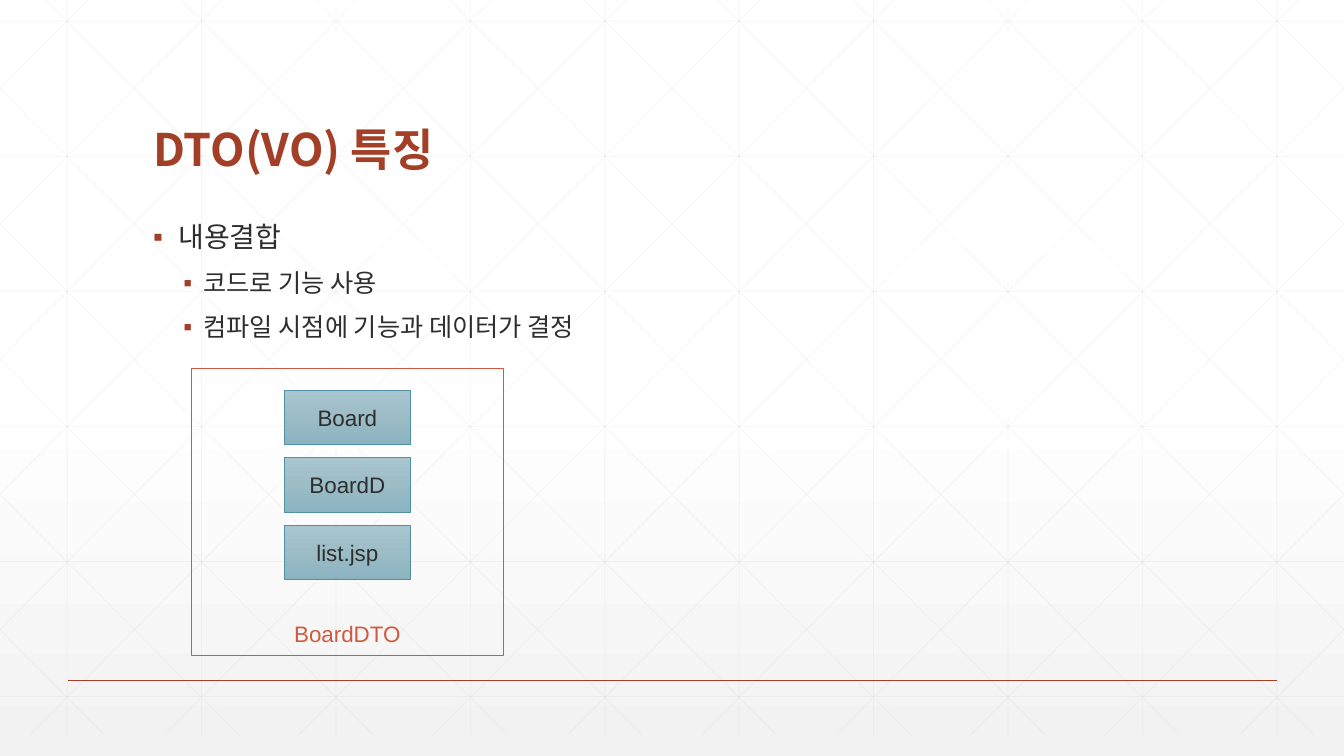
from dataclasses import dataclass

from lxml.etree import SubElement
from pptx import Presentation
from pptx.dml.color import RGBColor as Rgb
from pptx.enum.shapes import MSO_CONNECTOR as Connector, MSO_SHAPE as Shape
from pptx.enum.text import MSO_ANCHOR as Anchor, MSO_AUTO_SIZE as AutoSize, PP_ALIGN as Align
from pptx.oxml.ns import qn
from pptx.util import Inches, Pt


@dataclass(frozen=True)
class Theme:
    """Colours, fonts and type sizes of the slide."""
    accent: str = "A43F27"
    frame: str = "D15A3E"
    ink: str = "2D2E2D"
    lattice: str = "D9D9D9"
    tile_edge: str = "4F91A1"
    tile_stops: tuple = ((0, "A9C6CF"), (50, "9CBCC6"), (100, "8AB4C0"))
    page_stops: tuple = ((0, "FFFFFF"), (53, "FFFFFF"), (100, "F2F2F2"))
    korean: str = "Noto Sans CJK KR"
    latin: str = "Arial"
    title: int = 32
    topic: int = 20
    detail: int = 18
    label: int = 16


THEME = Theme()
WIDTH, HEIGHT = 13.33, 7.5


def write(paragraph, text, *, size, color, font, bold=False, align=Align.LEFT, spacing=None, before=0):
    """Put formatted text into a paragraph."""
    paragraph.alignment = align
    paragraph.line_spacing = spacing
    paragraph.space_before = Pt(before)
    run = paragraph.add_run()
    run.text = text
    run.font.name, run.font.size, run.font.bold = font, Pt(size), bold
    run.font.color.rgb = Rgb.from_string(color)
    SubElement(run.font._element, qn("a:ea"), typeface=font)


def add_bullet(paragraph, indent, hanging):
    """Give a paragraph a small square bullet with a hanging indent."""
    props = paragraph._p.get_or_add_pPr()
    props.set("marL", str(Inches(indent)))
    props.set("indent", str(-Inches(hanging)))
    color = SubElement(props, qn("a:buClr"))
    SubElement(color, qn("a:srgbClr"), val=THEME.accent)
    SubElement(props, qn("a:buFont"), typeface=THEME.latin)
    SubElement(props, qn("a:buChar"), char="▪")


def fill_down(fill, element, stops):
    """Apply a top-to-bottom gradient to a fill that belongs to the element."""
    fill.gradient()
    fill.gradient_angle = 270
    stop_list = next(element.iter(qn("a:gsLst")))
    for stop in list(stop_list):
        stop_list.remove(stop)
    for percent, color in stops:
        stop = SubElement(stop_list, qn("a:gs"), pos=str(percent * 1000))
        SubElement(stop, qn("a:srgbClr"), val=color)


def add_line(shapes, start, end, color, weight, opacity=100):
    """Draw a straight line between two points."""
    line = shapes.add_connector(Connector.STRAIGHT, *map(Inches, (*start, *end)))
    line.line.color.rgb = Rgb.from_string(color)
    line.line.width = Pt(weight)
    if opacity < 100:
        tint = next(line.element.iter(qn("a:srgbClr")))
        SubElement(tint, qn("a:alpha"), val=str(opacity * 1000))
    SubElement(line.element.spPr, qn("a:effectLst"))


def add_box(shapes, box, edge, weight):
    """Add an outlined rectangle without a shadow."""
    rect = shapes.add_shape(Shape.RECTANGLE, *map(Inches, box))
    rect.shadow.inherit = False
    rect.line.color.rgb = Rgb.from_string(edge)
    rect.line.width = Pt(weight)
    return rect


def draw_lattice(slide, box):
    """Cover the box with faint upright, level and mirrored diagonal lines."""
    left, top, width, height = box
    right, bottom = left + width, top + height
    step, run = width / 10, 0.9933
    segments = [((x, top), (x, bottom)) for x in (left + step * (i + 0.5) for i in range(10))]
    segments += [((left, y), (right, y)) for y in (top + 0.21 + 1.34 * i for i in range(6))]
    for i in range(-5, 10):
        x = left + 0.46 + step * i
        start_y = top + max(0, left - x) / run
        end_y = min(bottom, top + (right - x) / run)
        ends = [(x + run * (y - top), y) for y in (start_y, end_y)]
        segments += [ends, [(left + right - px, y) for px, y in ends]]
    lattice = slide.shapes.add_group_shape()
    for start, end in segments:
        add_line(lattice.shapes, start, end, THEME.lattice, 0.5, opacity=25)
    lattice.element.addnext(slide.shapes.title.element)


def place_title(slide, box, text):
    """Move and format the title placeholder."""
    title = slide.shapes.title
    title.left, title.top, title.width, title.height = map(Inches, box)
    frame = title.text_frame
    frame.auto_size, frame.vertical_anchor = AutoSize.NONE, Anchor.BOTTOM
    write(frame.paragraphs[0], text, size=THEME.title, color=THEME.accent,
          font=THEME.korean, bold=True, spacing=0.9)


def place_points(slide, box, topic, details):
    """Write the topic and its details as a two-level bullet list."""
    frame = slide.shapes.add_textbox(*map(Inches, box)).text_frame
    frame.word_wrap = True
    rows = [(topic, THEME.topic, 18, 0.25, 0.25)]
    rows += [(detail, THEME.detail, 12, 0.5, 0.2) for detail in details]
    for i, (text, size, before, indent, hanging) in enumerate(rows):
        point = frame.add_paragraph() if i else frame.paragraphs[0]
        write(point, text, size=size, color=THEME.ink, font=THEME.korean,
              spacing=0.9, before=before)
        add_bullet(point, indent, hanging)


def draw_coupling(slide, box, owner, members):
    """Draw the owner's frame with its members stacked inside."""
    left, top, width, _ = box
    tile_width, tile_height, pitch = 1.25, 0.54, 0.67
    frame = add_box(slide.shapes, box, THEME.frame, 0.75)
    frame.fill.background()
    frame.text_frame.vertical_anchor = Anchor.BOTTOM
    frame.text_frame.margin_bottom = Inches(0.08)
    write(frame.text_frame.paragraphs[0], owner, size=THEME.label, color=THEME.frame,
          font=THEME.latin, align=Align.CENTER)
    for i, member in enumerate(members):
        place = (left + (width - tile_width) / 2, top + 0.21 + pitch * i, tile_width, tile_height)
        tile = add_box(slide.shapes, place, THEME.tile_edge, 0.5)
        fill_down(tile.fill, tile.element, THEME.tile_stops)
        tile.text_frame.vertical_anchor = Anchor.MIDDLE
        write(tile.text_frame.paragraphs[0], member, size=THEME.label, color=THEME.ink,
              font=THEME.latin, align=Align.CENTER)


def build_feature_slide(deck):
    """Build the slide on the features of a DTO."""
    slide = deck.slides.add_slide(deck.slide_layouts[5])
    fill_down(slide.background.fill, slide.element, THEME.page_stops)
    draw_lattice(slide, (0, 0, WIDTH, 7.29))
    add_line(slide.shapes, (0.67, 6.75), (12.67, 6.75), THEME.accent, 1)
    place_title(slide, (1.42, 0.55, 10.5, 1.25), "DTO(VO) 특징")
    place_points(slide, (1.42, 2.17, 10.5, 4.17), "내용결합",
                 ("코드로 기능 사용", "컴파일 시점에 기능과 데이터가 결정"))
    draw_coupling(slide, (1.9, 3.66, 3.09, 2.84), "BoardDTO", ("Board", "BoardD", "list.jsp"))


def main():
    """Create and save the deck."""
    deck = Presentation()
    deck.slide_width, deck.slide_height = Inches(WIDTH), Inches(HEIGHT)
    build_feature_slide(deck)
    deck.save("out.pptx")


main()
